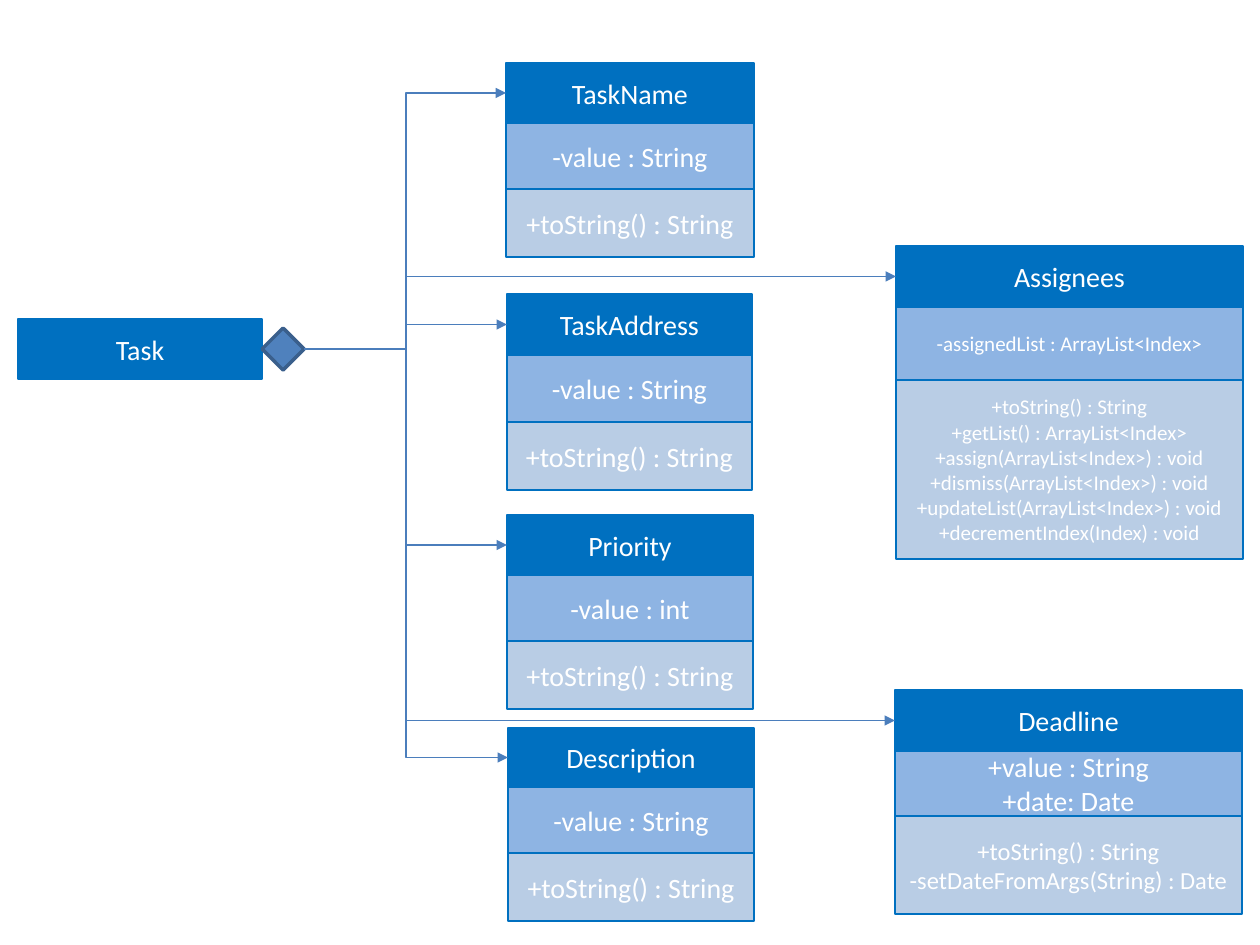
from dataclasses import dataclass
from itertools import accumulate

from lxml import etree
from pptx import Presentation
from pptx.dml.color import RGBColor
from pptx.enum.shapes import MSO_CONNECTOR, MSO_SHAPE
from pptx.enum.text import MSO_ANCHOR, PP_ALIGN
from pptx.oxml.ns import qn
from pptx.util import Pt

ELBOW = MSO_CONNECTOR.ELBOW
RECTANGLE = MSO_SHAPE.RECTANGLE
DIAMOND = MSO_SHAPE.DIAMOND
MIDDLE = MSO_ANCHOR.MIDDLE
CENTER = PP_ALIGN.CENTER
EMU_PER_PX = 914400 / 126
BLANK_LAYOUT = 6
LEFT_SITE, RIGHT_SITE = 1, 3
TRUNK_X = 406


@dataclass(frozen=True)
class Theme:
    font: str = "Calibri"
    text: str = "FFFFFF"
    header: str = "0070C0"
    attributes: str = "8EB4E3"
    operations: str = "B9CDE5"
    diamond: str = "4F81BD"
    diamond_border: str = "3A5F8C"
    link: str = "4B7EBC"
    normal: int = 16
    medium: int = 14
    small: int = 12
    border_width: float = 1.5
    diamond_width: float = 2
    link_width: float = 0.75


THEME = Theme()


@dataclass(frozen=True)
class ClassBox:
    name: str
    left: int
    top: int
    width: int
    heights: tuple
    attributes: tuple = ("-value : String",)
    operations: tuple = ("+toString() : String",)
    attribute_size: int = THEME.normal
    operation_size: int = THEME.normal


CLASSES = [
    ClassBox("TaskName", 506, 63, 248, (60, 66, 68)),
    ClassBox("TaskAddress", 507, 294, 245, (61, 67, 68)),
    ClassBox("Description", 508, 728, 246, (59, 66, 68)),
    ClassBox("Priority", 507, 515, 246, (60, 66, 68), ("-value : int",)),
    ClassBox("Deadline", 895, 690, 347, (61, 65, 98),
             ("+value : String", "+date: Date"),
             ("+toString() : String", "-setDateFromArgs(String) : Date"),
             operation_size=THEME.medium),
    ClassBox("Assignees", 896, 246, 347, (61, 73, 179),
             ("-assignedList : ArrayList<Index>",),
             ("+toString() : String",
              "+getList() : ArrayList<Index>",
              "+assign(ArrayList<Index>) : void "
              "+dismiss(ArrayList<Index>) : void "
              "+updateList(ArrayList<Index>) : void",
              "+decrementIndex(Index) : void"),
             THEME.small, THEME.small),
]


def px(length):
    return round(length * EMU_PER_PX)


def add_outlined(page, kind, place, fill, border, border_width):
    shape = page.shapes.add_shape(kind, *map(px, place))
    shape.shadow.inherit = False
    shape.fill.solid()
    shape.fill.fore_color.rgb = RGBColor.from_string(fill)
    shape.line.color.rgb = RGBColor.from_string(border)
    shape.line.width = Pt(border_width)
    return shape


def add_compartment(page, place, fill, lines, size=THEME.normal):
    box = add_outlined(page, RECTANGLE, place, fill, THEME.header, THEME.border_width)
    frame = box.text_frame
    frame.word_wrap = True
    frame.vertical_anchor = MIDDLE
    for number, line in enumerate(lines):
        para = frame.add_paragraph() if number else frame.paragraphs[0]
        para.text = line
        para.alignment = CENTER
        para.font.name = THEME.font
        para.font.size = Pt(size)
        para.font.color.rgb = RGBColor.from_string(THEME.text)
    return box


def add_class(page, item):
    compartments = (
        (THEME.header, (item.name,), THEME.normal),
        (THEME.attributes, item.attributes, item.attribute_size),
        (THEME.operations, item.operations, item.operation_size),
    )
    tops = accumulate(item.heights, initial=item.top)
    boxes = [
        add_compartment(page, (item.left, top, item.width, height), *compartment)
        for top, height, compartment in zip(tops, item.heights, compartments)
    ]
    return boxes[0]


def add_link(page, diamond, header):
    start_x = diamond.left + diamond.width
    start_y = diamond.top + diamond.height // 2
    end_y = header.top + header.height // 2
    link = page.shapes.add_connector(ELBOW, start_x, start_y, header.left, end_y)
    link.begin_connect(diamond, RIGHT_SITE)
    link.end_connect(header, LEFT_SITE)
    link.line.color.rgb = RGBColor.from_string(THEME.link)
    link.line.width = Pt(THEME.link_width)

    bend = round(100000 * (px(TRUNK_X) - start_x) / (header.left - start_x))
    properties = link._element.spPr
    guides = properties.find(qn("a:prstGeom")).get_or_add_avLst()
    etree.SubElement(guides, qn("a:gd"), name="adj1", fmla=f"val {bend}")
    etree.SubElement(properties.find(qn("a:ln")), qn("a:tailEnd"), type="triangle")
    etree.SubElement(properties, qn("a:effectLst"))


def main():
    deck = Presentation()
    deck.slide_width, deck.slide_height = px(1260), px(945)
    page = deck.slides.add_slide(deck.slide_layouts[BLANK_LAYOUT])

    add_compartment(page, (18, 319, 244, 60), THEME.header, ("Task",))
    diamond = add_outlined(page, DIAMOND, (262, 328, 42, 42), THEME.diamond,
                           THEME.diamond_border, THEME.diamond_width)
    headers = [add_class(page, item) for item in CLASSES]
    for header in headers:
        add_link(page, diamond, header)

    deck.save("out.pptx")


if __name__ == "__main__":
    main()
